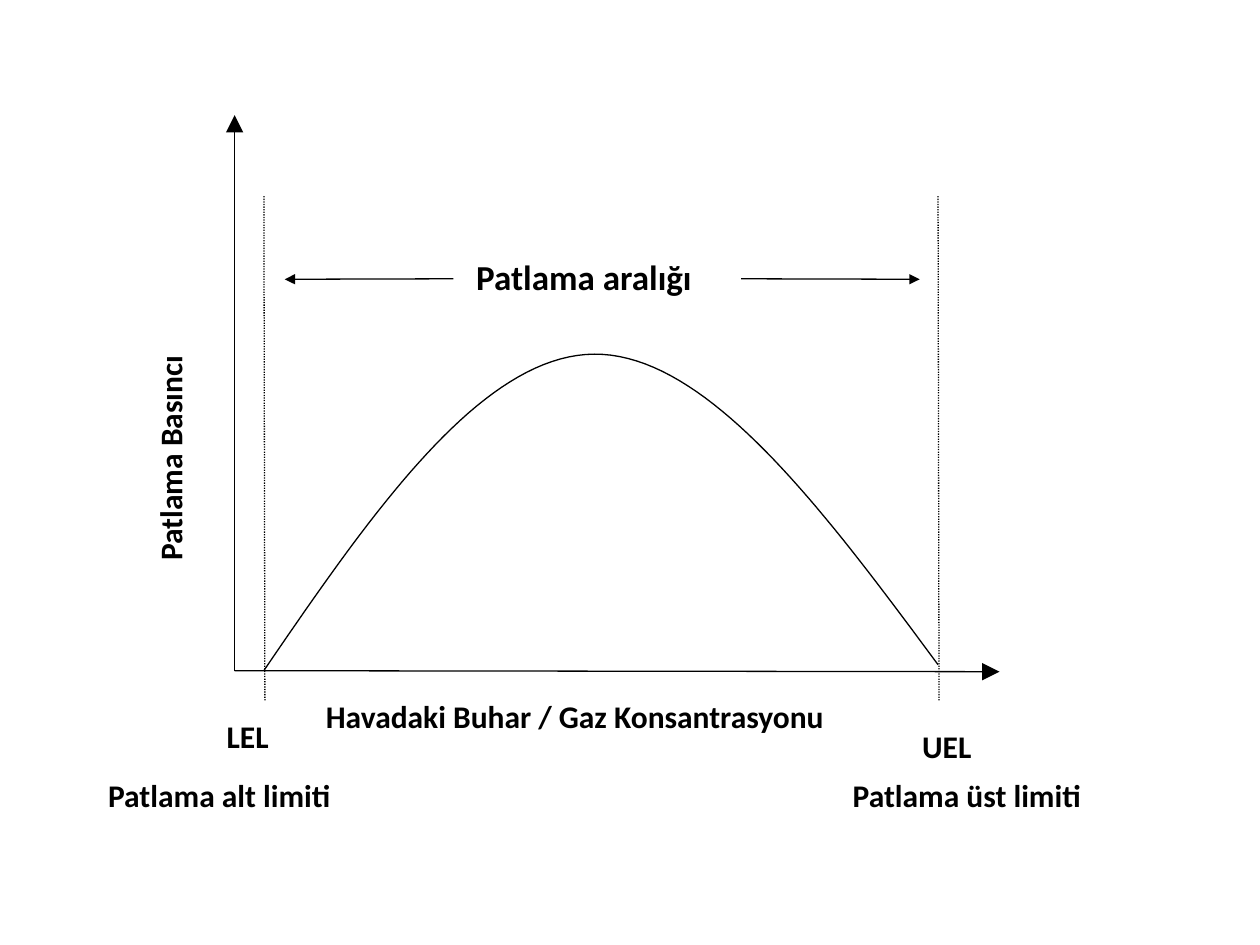
from lxml.etree import SubElement
from pptx import Presentation
from pptx.dml.color import RGBColor
from pptx.enum.dml import MSO_LINE
from pptx.enum.shapes import MSO_CONNECTOR
from pptx.enum.text import MSO_AUTO_SIZE
from pptx.oxml.ns import qn
from pptx.util import Cm, Pt


def color(value):
    return RGBColor.from_string(value)


def bezier(a, b, c, d, steps=40):
    for i in range(steps + 1):
        t = i / steps
        u = 1 - t
        yield tuple(u**3 * p + 3 * u**2 * t * q + 3 * u * t**2 * r + t**3 * s
                    for p, q, r, s in zip(a, b, c, d))


class Diagram:
    font = "Calibri"
    ink = "000000"
    weight = 0.75

    def __init__(self, slide):
        self.slide = slide

    def stroke(self, line):
        line.color.rgb = color(self.ink)
        line.width = Pt(self.weight)

    def line(self, x1, y1, x2, y2, arrow=None, dotted=False):
        sp = self.slide.shapes.add_connector(
            MSO_CONNECTOR.STRAIGHT, Cm(x1), Cm(y1), Cm(x2), Cm(y2))
        self.stroke(sp.line)
        if dotted:
            sp.line.dash_style = MSO_LINE.ROUND_DOT
        if arrow:
            SubElement(sp.line._get_or_add_ln(), qn("a:tailEnd"),
                       type="triangle", w=arrow, len=arrow)
        SubElement(sp._element.spPr, qn("a:effectLst"))

    def text(self, text, x, y, w, h=1.02, size=18, rotation=0):
        sp = self.slide.shapes.add_textbox(Cm(x), Cm(y), Cm(w), Cm(h))
        sp.rotation = rotation
        tf = sp.text_frame
        tf.word_wrap = False
        tf.auto_size = MSO_AUTO_SIZE.SHAPE_TO_FIT_TEXT
        p = tf.paragraphs[0]
        p.text = text
        p.font.name = self.font
        p.font.size = Pt(size)
        p.font.bold = True
        p.font.color.rgb = color(self.ink)

    def curve(self, *segments):
        points = [pt for segment in segments for pt in bezier(*segment)]
        (x, y), *rest = [(Cm(x), Cm(y)) for x, y in points]
        builder = self.slide.shapes.build_freeform(x, y)
        builder.add_line_segments(rest, close=False)
        sp = builder.convert_to_shape()
        sp.shadow.inherit = False
        sp.fill.background()
        self.stroke(sp.line)


def main():
    prs = Presentation()
    prs.slide_width, prs.slide_height = Cm(25.4), Cm(19.05)
    s = Diagram(prs.slides.add_slide(prs.slide_layouts[6]))

    origin_x, origin_y = 4.73, 13.52
    s.line(origin_x, origin_y, origin_x, 2.32, arrow="lg")
    s.line(origin_x, origin_y, 20.15, 13.54, arrow="lg")

    s.text("Patlama aralığı", 9.35, 5.03, 4.88, h=1.12, size=20)
    s.text("Patlama alt limiti", 1.93, 15.52, 5.03)
    s.text("Havadaki Buhar / Gaz Konsantrasyonu", 6.32, 13.92, 10.64)
    s.text("Patlama Basıncı", 1.09, 8.71, 4.67, rotation=270)
    s.text("Patlama üst limiti", 16.94, 15.52, 5.16)

    for start, end in ((9.14, 5.74), (14.94, 18.54)):
        s.line(start, 5.62, end, 5.63, arrow="med")
    for limit in (5.32, 18.91):
        s.line(limit + 0.02, 14.12, limit, 3.94, dotted=True)

    s.text("LEL", 4.32, 14.33, 1.37)
    s.text("UEL", 18.34, 14.53, 1.52)

    peak = (11.98, 7.14)
    s.curve(((5.32, 13.52), (7.49, 10.34), (9.7, 7.16), peak),
            (peak, (14.25, 7.13), (16.59, 10.26), (18.91, 13.4)))

    prs.save("out.pptx")


if __name__ == "__main__":
    main()
